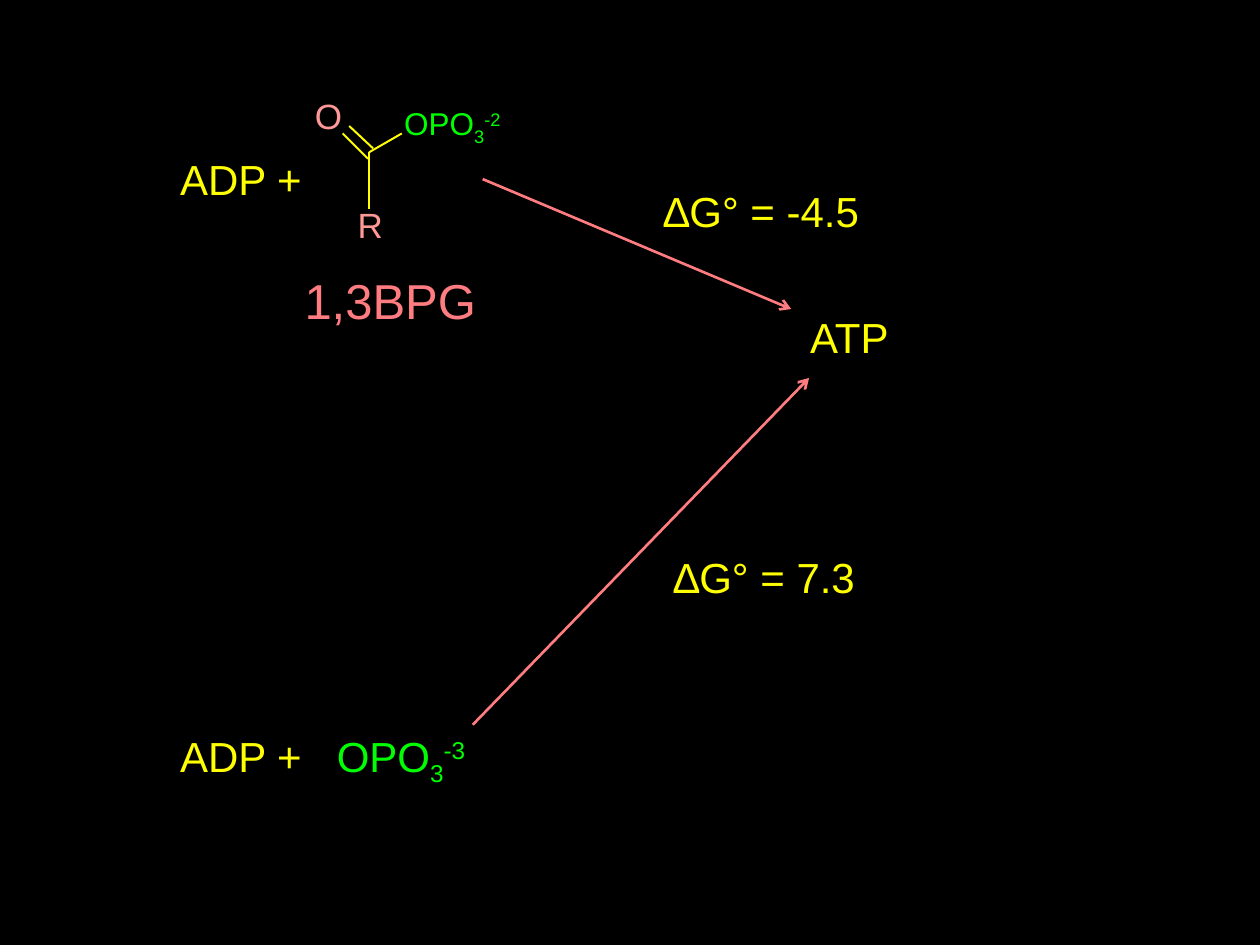
from lxml import etree
from pptx import Presentation
from pptx.dml.color import RGBColor
from pptx.enum.shapes import MSO_CONNECTOR
from pptx.enum.text import MSO_AUTO_SIZE
from pptx.oxml.ns import qn
from pptx.util import Cm, Pt

STRAIGHT = MSO_CONNECTOR.STRAIGHT
FIT_SHAPE = MSO_AUTO_SIZE.SHAPE_TO_FIT_TEXT
COLORS = {
    "back": "000000",
    "yellow": "FFFF00",
    "green": "00FF00",
    "pink": "FF9999",
    "coral": "FF7C80",
}
SUB, SUP = "-25000", "30000"


def rgb(name):
    return RGBColor.from_string(COLORS[name])


def add_text(shapes, box, runs, size, wrap=True, inset=True, tab=None):
    sp = shapes.add_textbox(*(Cm(v) for v in box))
    tf = sp.text_frame
    tf.word_wrap = wrap
    tf.auto_size = FIT_SHAPE
    if not inset:
        tf.margin_left = tf.margin_right = tf.margin_top = tf.margin_bottom = 0
    p = tf.paragraphs[0]
    for text, color, *shift in runs:
        r = p.add_run()
        r.text = text
        r.font.name = "Arial"
        r.font.size = Pt(size)
        r.font.color.rgb = rgb(color)
        if shift:
            r.font._element.set("baseline", shift[0])
    if tab:
        tabs = etree.SubElement(p._p.get_or_add_pPr(), qn("a:tabLst"))
        etree.SubElement(tabs, qn("a:tab"), pos=str(Cm(tab)), algn="l")


def add_line(shapes, ends, color, width, arrow=False):
    line = shapes.add_connector(STRAIGHT, *(Cm(v) for v in ends))
    line.line.color.rgb = rgb(color)
    line.line.width = Pt(width)
    if arrow:
        etree.SubElement(line.line._get_or_add_ln(), qn("a:tailEnd"), type="arrow")
    etree.SubElement(line._element.spPr, qn("a:effectLst"))


def phosphate(charge):
    return [("OPO", "green"), ("3", "green", SUB), (charge, "green", SUP)]


def add_molecule(s, x, y):
    shapes = s.shapes.add_group_shape().shapes
    bonds = [
        (1.09, 2.31, 1.09, 1.17),
        (1.09, 1.17, 1.75, 0.79),
        (1.17, 1.09, 0.69, 0.64),
        (1.07, 1.3, 0.56, 0.79),
    ]
    for x1, y1, x2, y2 in bonds:
        add_line(shapes, (x + x1, y + y1, x + x2, y + y2), "yellow", 1.13)
    atoms = [
        (1.8, 0.2, 2.03, 0.76, phosphate("-2"), 18),
        (0, 0, 0.56, 0.84, [("O", "pink")], 20),
        (0.86, 2.21, 0.51, 0.86, [("R", "pink")], 20),
    ]
    for left, top, width, height, runs, size in atoms:
        add_text(shapes, (x + left, y + top, width, height), runs, size,
                 wrap=False, inset=False)


def add_reactants(s, x, y):
    add_text(s.shapes, (x, y, 3.38, 1.27), [("ADP +", "yellow")], 24)
    add_molecule(s, x + 2.97, y - 1.07)
    add_text(s.shapes, (x + 2.51, y + 2.36, 4.01, 1.45),
             [("1,3BPG", "coral")], 28, wrap=False)
    add_text(s.shapes, (x, y + 11.63, 7.62, 1.27),
             [("ADP +\t", "yellow")] + phosphate("-3"), 24, tab=3.16)


def add_pathways(s, x, y):
    labels = [
        (0, 0, 4.88, "∆G° = -4.5"),
        (0.2, 7.39, 4.88, "∆G° = 7.3"),
        (2.95, 2.54, 2.11, "ATP"),
    ]
    for left, top, width, text in labels:
        add_text(s.shapes, (x + left, y + top, width, 1.27), [(text, "yellow")], 24)
    arrows = [(-3.4, 0, 2.82, 2.62), (-3.6, 11, 3.18, 4.01)]
    for x1, y1, x2, y2 in arrows:
        add_line(s.shapes, (x + x1, y + y1, x + x2, y + y2), "coral", 1.5, arrow=True)


prs = Presentation()
prs.slide_width, prs.slide_height = Cm(25.4), Cm(19.05)
s = prs.slides.add_slide(prs.slide_layouts[6])
s.background.fill.solid()
s.background.fill.fore_color.rgb = rgb("back")
add_reactants(s, 3.38, 2.97)
add_pathways(s, 13.13, 3.61)
prs.save("out.pptx")
